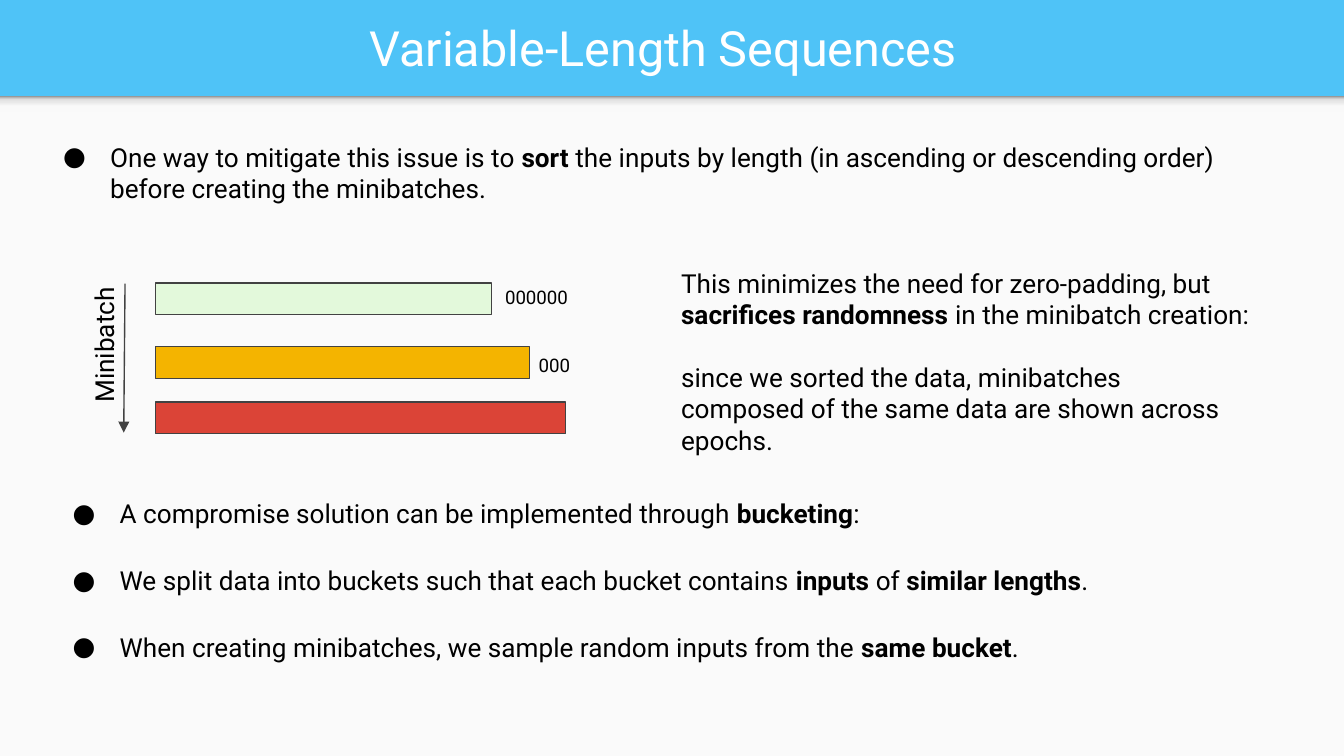
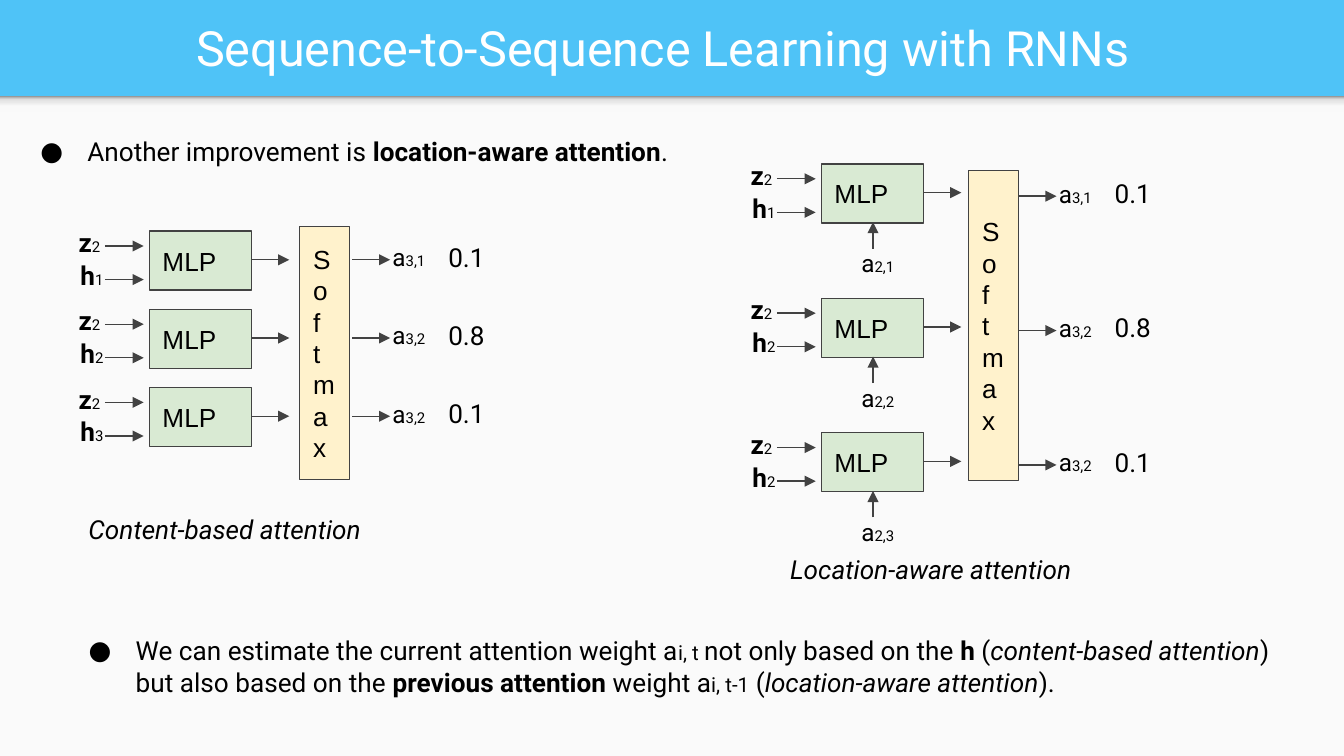
from lxml import etree
from pptx import Presentation
from pptx.dml.color import RGBColor
from pptx.enum.shapes import MSO_CONNECTOR, MSO_SHAPE
from pptx.enum.text import MSO_ANCHOR, MSO_AUTO_SIZE, PP_ALIGN
from pptx.oxml.ns import qn
from pptx.util import Pt

RECTANGLE = MSO_SHAPE.RECTANGLE
STRAIGHT = MSO_CONNECTOR.STRAIGHT
TOP, MIDDLE = MSO_ANCHOR.TOP, MSO_ANCHOR.MIDDLE
LEFT, CENTER = PP_ALIGN.LEFT, PP_ALIGN.CENTER
NO_AUTOFIT = MSO_AUTO_SIZE.NONE

BLUE, PAPER, INK, LINE = "4FC3F7", "FAFAFA", "000000", "424242"
MINT, YELLOW, RED = "E3F9DB", "F4B400", "DB4437"
GREEN, CREAM, WHITE = "D9EAD3", "FFF2CC", "FFFFFF"
SHADOW_STOPS = [(0, "F9F9F9"), (36, "F9F9F9"), (80, "DEDEDE"), (100, "999999")]

WIDTH, HEIGHT, HEADER = 720, 405, 51.5
BOLD, ITALIC = {"bold": True}, {"italic": True}
SUBSCRIPT, INLINE_SUBSCRIPT = {"size": Pt(8)}, {"size": Pt(11)}


def color(hex_string):
    return RGBColor.from_string(hex_string)


def add_xml(parent, tag, **attributes):
    return etree.SubElement(parent, qn(tag), attributes)


class Deck:
    """Holds the shared style and the slide being built."""

    def __init__(self):
        self.presentation = Presentation()
        self.presentation.slide_width = Pt(WIDTH)
        self.presentation.slide_height = Pt(HEIGHT)
        background = self.presentation.slide_master.background.fill
        background.solid()
        background.fore_color.rgb = color(BLUE)
        self.slide = None

    def new_slide(self, title):
        two_content = self.presentation.slide_layouts[3]
        self.slide = self.presentation.slides.add_slide(two_content)
        self.backdrop()
        shape = self.slide.shapes.title
        self.place(shape, 8, 1.4, 695, 47.5)
        self.fill_text(shape, [[title]], size=26, ink=WHITE, anchor=MIDDLE, align=CENTER)

    def backdrop(self):
        """Light panel under the header, with the header's soft shadow."""
        panel = self.rectangle(0, HEADER, WIDTH, HEIGHT - HEADER, PAPER, outlined=False)
        shadow = self.rectangle(0, HEADER, WIDTH, 8.6, PAPER, outlined=False)
        shadow.fill.gradient()
        shadow.fill.gradient_angle = 90
        stops = shadow._element.spPr.find(".//" + qn("a:gsLst"))
        for stop in list(stops):
            stops.remove(stop)
        for position, shade in SHADOW_STOPS:
            stop = add_xml(stops, "a:gs", pos=str(position * 1000))
            add_xml(stop, "a:srgbClr", val=shade)
        tree = self.slide.shapes._spTree
        tree.insert(2, panel._element)
        tree.insert(3, shadow._element)

    def place(self, shape, left, top, width, height):
        shape.left, shape.top = Pt(left), Pt(top)
        shape.width, shape.height = Pt(width), Pt(height)

    def fill_text(self, shape, paragraphs, size=14, font="Roboto", ink=INK,
                  anchor=TOP, align=LEFT, gap=0, bullets=False):
        """Fill a shape; each paragraph lists strings or (string, font changes)."""
        frame = shape.text_frame
        frame.word_wrap = True
        frame.auto_size = NO_AUTOFIT
        frame.vertical_anchor = anchor
        frame.margin_left = frame.margin_right = Pt(7.2)
        frame.margin_top = frame.margin_bottom = Pt(7.2)
        for index, parts in enumerate(paragraphs):
            paragraph = frame.add_paragraph() if index else frame.paragraphs[0]
            if bullets:
                self.bullet(paragraph)
            paragraph.alignment = align
            paragraph.space_before = Pt(gap if index else 0)
            for part in parts:
                text, changes = (part, {}) if isinstance(part, str) else part
                run = paragraph.add_run()
                run.text = text
                run.font.name = font
                run.font.size = changes.get("size", Pt(size))
                run.font.bold = changes.get("bold", False)
                run.font.italic = changes.get("italic", False)
                run.font.color.rgb = color(ink)

    def bullet(self, paragraph):
        properties = paragraph._p.get_or_add_pPr()
        properties.set("marL", str(Pt(36)))
        properties.set("indent", str(Pt(-25.2)))
        add_xml(add_xml(properties, "a:buClr"), "a:srgbClr", val=INK)
        add_xml(properties, "a:buFont", typeface="Roboto")
        add_xml(properties, "a:buChar", char="●")

    def bullets(self, number, left, top, width, height, items, gap=0):
        """Use the slide's body placeholder 1 or 2 as a bulleted list."""
        shape = self.slide.placeholders[number]
        self.place(shape, left, top, width, height)
        self.fill_text(shape, items, gap=gap, bullets=True)

    def text(self, left, top, width, height, *paragraphs, rotation=0, **style):
        box = self.slide.shapes.add_textbox(Pt(left), Pt(top), Pt(width), Pt(height))
        box.rotation = rotation
        self.fill_text(box, paragraphs, **style)

    def rectangle(self, left, top, width, height, fill, outlined=True):
        shape = self.slide.shapes.add_shape(
            RECTANGLE, Pt(left), Pt(top), Pt(width), Pt(height))
        shape.shadow.inherit = False
        shape.fill.solid()
        shape.fill.fore_color.rgb = color(fill)
        if outlined:
            shape.line.color.rgb = color(LINE)
            shape.line.width = Pt(0.75)
        else:
            shape.line.fill.background()
        return shape

    def block(self, left, top, width, height, fill, *lines):
        shape = self.rectangle(left, top, width, height, fill)
        self.fill_text(shape, [[line] for line in lines], font="Arial", anchor=MIDDLE)

    def arrow(self, x1, y1, x2, y2):
        connector = self.slide.shapes.add_connector(
            STRAIGHT, Pt(x1), Pt(y1), Pt(x2), Pt(y2))
        connector.line.color.rgb = color(LINE)
        connector.line.width = Pt(0.75)
        properties = connector._element.spPr
        add_xml(properties.find(qn("a:ln")), "a:tailEnd", type="triangle")
        add_xml(properties, "a:effectLst")

    def symbol(self, left, top, letter, subscript):
        """A bold input vector such as z or h with its index."""
        self.text(left, top, 36, 31.7, [(letter, BOLD), (subscript, SUBSCRIPT)])

    def weight(self, left, top, subscript):
        self.text(left, top, 38.2, 30.2, ["a", (subscript, SUBSCRIPT)], size=13)

    def attention(self, left, top, pitch, softmax, weight_x, weight_y, rows):
        """Rows of MLPs feeding one softmax; weight_y is measured from each row's top."""
        self.block(*softmax, CREAM, "So", "f", "tmax")
        for index, (hidden, weight, value, previous) in enumerate(rows):
            y = top + index * pitch
            self.block(left, y, 54.7, 31.7, GREEN, "MLP")
            self.symbol(left - 45, y - 9.6, "z", "2")
            self.symbol(left - 44, y + 8, "h", hidden)
            for input_y in (y + 8, y + 26):
                self.arrow(left - 23.8, input_y, left - 3, input_y)
            self.arrow(left + 54.7, y + 15.4, left + 75, y + 15.4)
            output_y = y + weight_y
            self.arrow(weight_x, output_y, weight_x + 20.2, output_y)
            self.weight(weight_x + 14.4, output_y - 16.5, weight)
            self.text(weight_x + 44.3, output_y - 17.3, 36, 31.7, [value])
            if previous:
                self.weight(left + 14.4, y + 38.2, previous)
                self.arrow(left + 27.7, y + 45.4, left + 27.7, y + 31.2)


def variable_length(deck):
    deck.new_slide("Variable-Length Sequences")
    deck.bullets(1, 15.8, 68.4, 678, 48.2, [
        ["One way to mitigate this issue is to ", ("sort ", BOLD),
         "the inputs by length (in ascending or descending order) "
         "before creating the minibatches."]])
    for top, width, fill in ((151.7, 180, MINT), (185.8, 200.4, YELLOW), (215.5, 219.8, RED)):
        deck.rectangle(83.3, top, width, 16.9, fill)
    deck.arrow(67, 152, 66.3, 231.8)
    deck.text(15.8, 167, 80, 31.7, ["Minibatch"], rotation=270)
    deck.text(263.5, 146.2, 94.3, 26.6, ["000000"], size=10)
    deck.text(281.5, 182.2, 33, 26.6, ["000"], size=10)
    deck.text(
        357.8, 136.1, 319.7, 99.4,
        ["This minimizes the need for zero-padding, but ",
         ("sacrifices randomness", BOLD), " in the minibatch creation:"],
        ["since we sorted the data, minibatches composed of the same data "
         "are shown across epochs."],
        gap=16.7)
    deck.bullets(2, 20.9, 259.4, 678, 104, [
        ["A compromise solution can be implemented through ", ("bucketing", BOLD), ":"],
        ["We split data into buckets such that each bucket contains", (" inputs", BOLD),
         " of ", ("similar lengths", BOLD), "."],
        ["When creating minibatches, we sample random inputs from the ",
         ("same bucket", BOLD), "."]], gap=19)


def location_aware(deck):
    deck.new_slide("Sequence-to-Sequence Learning with RNNs")
    deck.bullets(1, 3.6, 65.5, 594.7, 31.7, [
        ["Another improvement is ", ("location-aware attention", BOLD), "."]])
    deck.attention(
        80, 123.8, 41.9, softmax=(160.6, 121.5, 26.8, 135.4), weight_x=188.8, weight_y=15.4,
        rows=[("1", "3,1", "0.1", None), ("2", "3,2", "0.8", None),
              ("3", "3,2", "0.1", None)])
    deck.attention(
        440, 87.8, 72, softmax=(519, 91.3, 26.8, 166.2), weight_x=545.8, weight_y=17.3,
        rows=[("1", "3,1", "0.1", "2,1"), ("2", "3,2", "0.8", "2,2"),
              ("2", "3,2", "0.1", "2,3")])
    deck.text(40.3, 267.8, 165, 31.7, [("Content-based attention", ITALIC)])
    deck.text(416.2, 289.5, 192.2, 31.7, [("Location-aware attention", ITALIC)])
    deck.bullets(2, 29.5, 332.8, 661, 48.2, [
        ["We can estimate the current attention weight a", ("i, t ", INLINE_SUBSCRIPT),
         "not only based on the ", ("h", BOLD), " (", ("content-based attention", ITALIC),
         ") but also based on the ", ("previous attention", BOLD), " weight a",
         ("i, t-1", INLINE_SUBSCRIPT), " (", ("location-aware attention", ITALIC), ")."]])


def main():
    deck = Deck()
    variable_length(deck)
    location_aware(deck)
    deck.presentation.save("out.pptx")


if __name__ == "__main__":
    main()
